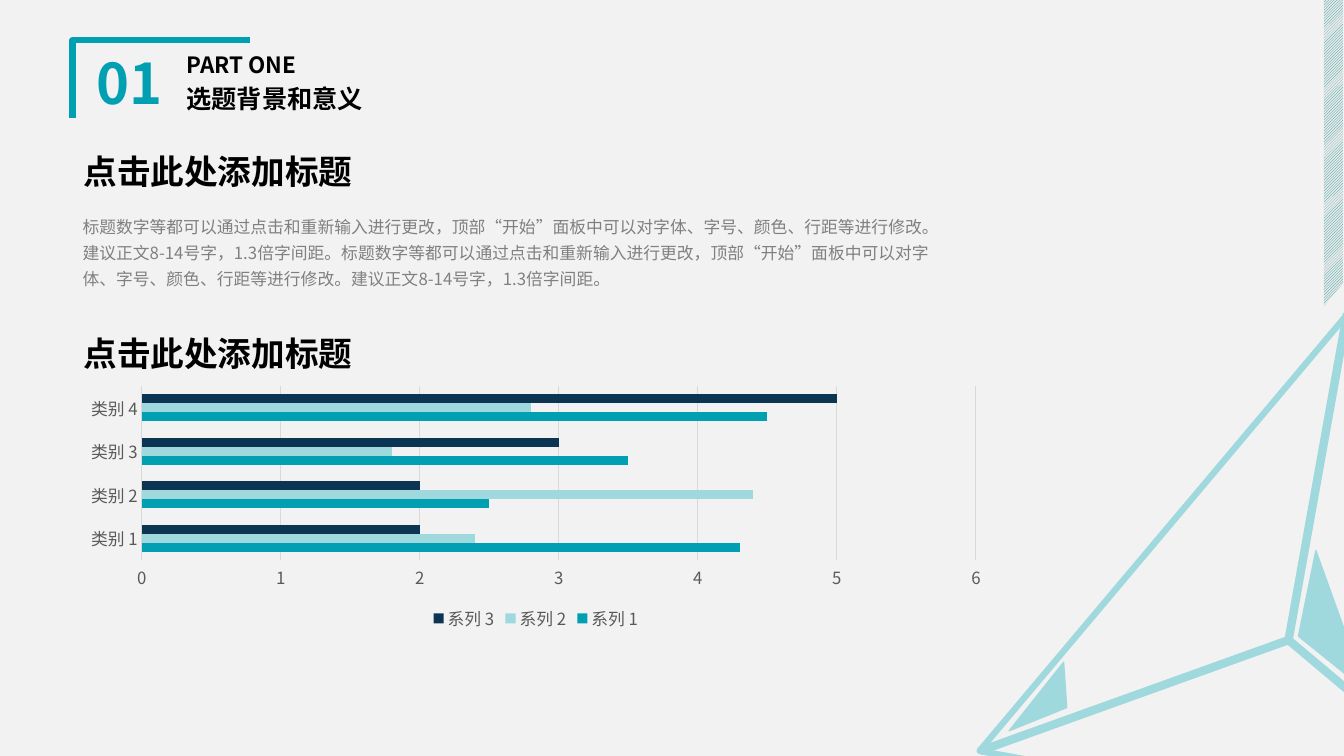
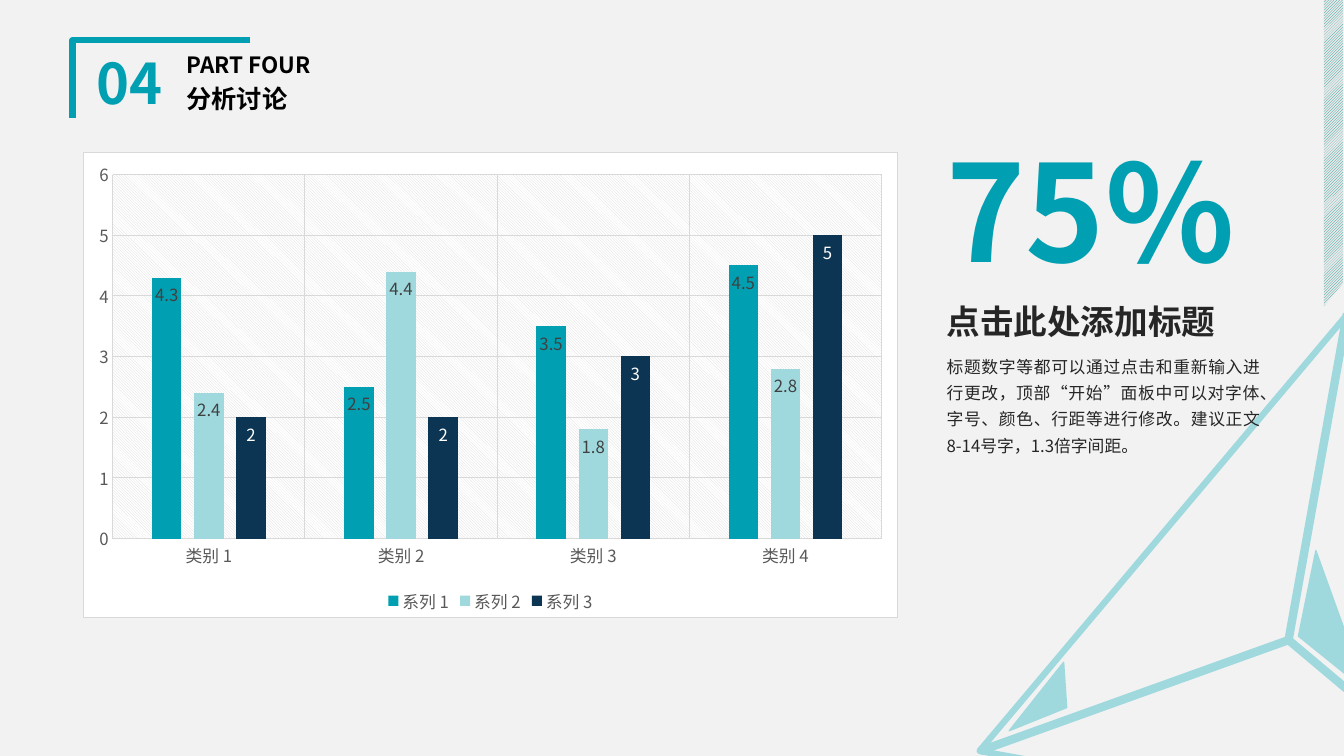
from dataclasses import dataclass

from lxml.etree import SubElement
from pptx import Presentation
from pptx.chart.data import CategoryChartData
from pptx.dml.color import RGBColor
from pptx.enum.chart import XL_CHART_TYPE, XL_LABEL_POSITION, XL_LEGEND_POSITION, XL_TICK_MARK
from pptx.enum.dml import MSO_PATTERN
from pptx.enum.shapes import MSO_CONNECTOR, MSO_SHAPE
from pptx.enum.text import MSO_ANCHOR, MSO_AUTO_SIZE, PP_ALIGN
from pptx.oxml import parse_xml
from pptx.oxml.ns import nsdecls, qn
from pptx.util import Inches, Pt

FONT = "Noto Sans CJK SC"
TEAL = RGBColor(0x00, 0x9F, 0xB1)
PALE_TEAL = RGBColor(0x9F, 0xD9, 0xDE)
NAVY = RGBColor(0x0C, 0x35, 0x53)
HATCH_GREEN = RGBColor(0x1A, 0x98, 0x95)
HATCH_GRAY = RGBColor(0xE9, 0xE9, 0xE9)
BACKGROUND = RGBColor(0xF2, 0xF2, 0xF2)
GRID_GRAY = RGBColor(0xD9, 0xD9, 0xD9)
AXIS_GRAY = RGBColor(0x59, 0x59, 0x59)
LABEL_GRAY = RGBColor(0x40, 0x40, 0x40)
BODY_GRAY = RGBColor(0x80, 0x80, 0x80)
DARK = RGBColor(0x26, 0x26, 0x26)
BLACK = RGBColor(0, 0, 0)
WHITE = RGBColor(0xFF, 0xFF, 0xFF)

LEFT, CENTER, JUSTIFY = PP_ALIGN.LEFT, PP_ALIGN.CENTER, PP_ALIGN.JUSTIFY
MIDDLE = MSO_ANCHOR.MIDDLE
NO_AUTOFIT, GROW = MSO_AUTO_SIZE.NONE, MSO_AUTO_SIZE.SHAPE_TO_FIT_TEXT
RECTANGLE, TRIANGLE = MSO_SHAPE.RECTANGLE, MSO_SHAPE.ISOSCELES_TRIANGLE
STRAIGHT = MSO_CONNECTOR.STRAIGHT
UPWARD_HATCH = MSO_PATTERN.LIGHT_UPWARD_DIAGONAL
BAR, COLUMN = XL_CHART_TYPE.BAR_CLUSTERED, XL_CHART_TYPE.COLUMN_CLUSTERED
NO_TICK = XL_TICK_MARK.NONE
LEGEND_BOTTOM = XL_LEGEND_POSITION.BOTTOM
INSIDE_END = XL_LABEL_POSITION.INSIDE_END

HEADING = "点击此处添加标题"
ADVICE = (
    "标题数字等都可以通过点击和重新输入进行更改，顶部“开始”面板中可以对字体、字号、"
    "颜色、行距等进行修改。建议正文8-14号字，1.3倍字间距。"
)


@dataclass(frozen=True)
class Box:
    left: float
    top: float
    width: float
    height: float

    def lengths(self):
        return [Inches(value) for value in (self.left, self.top, self.width, self.height)]


@dataclass(frozen=True)
class Triangle:
    box: Box
    fill: RGBColor
    line_width: float


@dataclass(frozen=True)
class Series:
    name: str
    values: tuple
    color: RGBColor
    label_color: RGBColor


@dataclass(frozen=True)
class HeaderStyle:
    index: int
    box: Box
    size: int
    color: RGBColor
    alignment: PP_ALIGN


HEADER_STYLES = (
    HeaderStyle(1, Box(0.82, 0.49, 0.93, 0.73), 40, TEAL, CENTER),
    HeaderStyle(3, Box(1.75, 0.49, 2.67, 0.34), 16, BLACK, LEFT),
    HeaderStyle(0, Box(1.75, 0.78, 2.67, 0.44), 18, BLACK, LEFT),
)
UNUSED_PLACEHOLDERS = (2, 4)
TRIANGLE_ROTATION = 250.2
COVER = Triangle(Box(8.65, 3.86, 6.53, 5.63), BACKGROUND, 0)
FRAME = Triangle(Box(9.18, 4.17, 5.68, 4.9), BACKGROUND, 4.5)
INNER_FACE = Triangle(Box(12.35, 6.01, 1.48, 0.45), PALE_TEAL, 1)
HUB = (12.78, 6.35)
CORNERS = ((9.72, 7.45), (15.29, 8.46), (13.36, 3.11))
BRACKET = ((0.72, 1.17), (0.72, 0.4), (2.48, 0.4))
CORNER_FACE = ((10.58, 7.02), (10.55, 6.57), (10.01, 7.25))

CATEGORIES = [f"类别 {number}" for number in range(1, 5)]
SERIES = (
    Series("系列 1", (4.3, 2.5, 3.5, 4.5), TEAL, LABEL_GRAY),
    Series("系列 2", (2.4, 4.4, 1.8, 2.8), PALE_TEAL, LABEL_GRAY),
    Series("系列 3", (2, 2, 3, 5), NAVY, WHITE),
)
NO_FILL = "<a:noFill/>"
CARD_FILL = f'<a:solidFill><a:srgbClr val="{WHITE}"/></a:solidFill>'
CARD_BORDER = f'<a:solidFill><a:srgbClr val="{GRID_GRAY}"/></a:solidFill>'
PLOT_HATCH = (
    f'<a:pattFill prst="ltDnDiag"><a:fgClr><a:srgbClr val="{GRID_GRAY}"/></a:fgClr>'
    f'<a:bgClr><a:srgbClr val="{WHITE}"/></a:bgClr></a:pattFill>'
)


def style_font(font, size: float, color: RGBColor, bold: bool = False) -> None:
    font.size = Pt(size)
    font.bold = bold
    font.color.rgb = color
    font.name = FONT
    latin = font._rPr.find(qn("a:latin"))
    latin.addnext(parse_xml(f'<a:ea {nsdecls("a")} typeface="{FONT}"/>'))


def write_text(shape, text: str, *, size: float, color: RGBColor, bold: bool = False,
               alignment=LEFT, spacing: float = 1.0, before: float = 0,
               anchor=None, auto_size=GROW, wrap: bool = True) -> None:
    frame = shape.text_frame
    frame.word_wrap = wrap
    frame.auto_size = auto_size
    if anchor is not None:
        frame.vertical_anchor = anchor
    paragraph = frame.paragraphs[0]
    paragraph.alignment = alignment
    paragraph.line_spacing = spacing
    paragraph.space_before = Pt(before)
    run = paragraph.add_run()
    run.text = text
    style_font(run.font, size, color, bold)


def add_text(slide, box: Box, text: str, **text_format) -> None:
    write_text(slide.shapes.add_textbox(*box.lengths()), text, **text_format)


def set_line(line, color: RGBColor, width: float) -> None:
    if width:
        line.color.rgb = color
        line.width = Pt(width)
    else:
        line.fill.background()


def add_triangle(slide, triangle: Triangle) -> None:
    shape = slide.shapes.add_shape(TRIANGLE, *triangle.box.lengths())
    shape.shadow.inherit = False
    shape.rotation = TRIANGLE_ROTATION
    shape.fill.solid()
    shape.fill.fore_color.rgb = triangle.fill
    set_line(shape.line, PALE_TEAL, triangle.line_width)


def add_outline(slide, points: tuple, color: RGBColor, width: float, closed: bool) -> None:
    start, *others = [(Inches(x), Inches(y)) for x, y in points]
    builder = slide.shapes.build_freeform(*start)
    builder.add_line_segments(others, close=closed)
    shape = builder.convert_to_shape()
    shape.shadow.inherit = False
    if closed:
        shape.fill.solid()
        shape.fill.fore_color.rgb = color
    else:
        shape.fill.background()
    set_line(shape.line, color, width)


def add_spoke(slide, corner: tuple) -> None:
    ends = [Inches(value) for value in (*corner, *HUB)]
    connector = slide.shapes.add_connector(STRAIGHT, *ends)
    set_line(connector.line, PALE_TEAL, 6)
    SubElement(connector._element.spPr, qn("a:effectLst"))


def decorate_layout(layout, slide) -> None:
    layout.background.fill.solid()
    layout.background.fill.fore_color.rgb = BACKGROUND
    band = slide.shapes.add_shape(RECTANGLE, *Box(9.46, 3.64, 7.53, 0.19).lengths())
    band.shadow.inherit = False
    band.rotation = 270
    band.fill.patterned()
    band.fill.pattern = UPWARD_HATCH
    band.fill.fore_color.rgb = HATCH_GREEN
    band.fill.back_color.rgb = HATCH_GRAY
    band.line.fill.background()
    add_outline(slide, BRACKET, TEAL, 4.5, closed=False)
    add_triangle(slide, COVER)
    add_triangle(slide, FRAME)
    for corner in CORNERS:
        add_spoke(slide, corner)
    add_triangle(slide, INNER_FACE)
    add_outline(slide, CORNER_FACE, PALE_TEAL, 1, closed=True)
    decorations = [shape for shape in slide.shapes if not shape.is_placeholder]
    for number, shape in enumerate(decorations, start=101):
        shape._element.xpath(".//p:cNvPr")[0].set("id", str(number))
        layout.shapes._spTree.append(shape._element)


def fill_header(slide, number: str, part: str, title: str) -> None:
    placeholders = {shape.placeholder_format.idx: shape for shape in slide.placeholders}
    for index in UNUSED_PLACEHOLDERS:
        element = placeholders[index]._element
        element.getparent().remove(element)
    for style, text in zip(HEADER_STYLES, (number, part, title)):
        shape = placeholders[style.index]
        shape.left, shape.top, shape.width, shape.height = style.box.lengths()
        write_text(shape, text, size=style.size, color=style.color, bold=True,
                   alignment=style.alignment, spacing=0.9, before=10,
                   anchor=MIDDLE, auto_size=NO_AUTOFIT)


def chart_area(fill: str, border: str):
    return parse_xml(
        f'<c:spPr {nsdecls("c", "a")}>{fill}<a:ln w="9525">{border}</a:ln></c:spPr>'
    )


def add_series_chart(slide, chart_type, box: Box, *, gap: int, overlap: int = 0,
                     card: bool = False):
    data = CategoryChartData()
    data.categories = CATEGORIES
    for series in SERIES:
        data.add_series(series.name, series.values)
    chart = slide.shapes.add_chart(chart_type, *box.lengths(), data).chart
    style_font(chart.font, 12, AXIS_GRAY)
    chart.has_title = False
    chart.has_legend = True
    chart.legend.position = LEGEND_BOTTOM
    chart.legend.include_in_layout = False
    style_font(chart.legend.font, 12, AXIS_GRAY)

    category_axis, value_axis = chart.category_axis, chart.value_axis
    category_axis.has_major_gridlines = card
    value_axis.has_major_gridlines = True
    for axis in (category_axis, value_axis):
        axis.major_tick_mark = axis.minor_tick_mark = NO_TICK
        style_font(axis.tick_labels.font, 12, AXIS_GRAY)
        if axis.has_major_gridlines:
            set_line(axis.major_gridlines.format.line, GRID_GRAY, 0.75)
    set_line(category_axis.format.line, GRID_GRAY, 0.75)
    set_line(value_axis.format.line, GRID_GRAY, 0)
    value_axis.minimum_scale, value_axis.maximum_scale = 0, 6
    value_axis.major_unit = 1

    plot = chart.plots[0]
    plot.vary_by_categories = False
    plot.gap_width, plot.overlap = gap, overlap
    for series, style in zip(plot.series, SERIES):
        series.format.fill.solid()
        series.format.fill.fore_color.rgb = style.color
        if card:
            labels = series.data_labels
            labels.show_value = True
            labels.position = INSIDE_END
            style_font(labels.font, 12, style.label_color)

    chart_element = chart._chartSpace.find(qn("c:chart"))
    chart_element.addnext(chart_area(CARD_FILL, CARD_BORDER) if card
                          else chart_area(NO_FILL, NO_FILL))
    chart_element.find(qn("c:plotArea")).append(
        chart_area(PLOT_HATCH if card else NO_FILL, NO_FILL))


def build_background_slide(slide) -> None:
    fill_header(slide, "01", "PART ONE", "选题背景和意义")
    for top in (1.45, 3.25):
        add_text(slide, Box(0.73, top, 2.89, 0.5), HEADING, size=24, color=BLACK,
                 bold=True, wrap=False)
    add_text(slide, Box(0.72, 2.04, 8.65, 0.89), ADVICE * 2, size=12, color=BODY_GRAY,
             spacing=1.3)
    add_series_chart(slide, BAR, Box(0.72, 3.78, 9.19, 2.52), gap=182)


def build_discussion_slide(slide) -> None:
    fill_header(slide, "04", "PART FOUR", "分析讨论")
    add_text(slide, Box(9.29, 1.22, 3.12, 1.72), "75%", size=96, color=TEAL, bold=True,
             wrap=False)
    add_text(slide, Box(9.29, 2.94, 3.16, 0.5), HEADING, size=24, color=DARK, bold=True)
    add_text(slide, Box(9.29, 3.43, 3.31, 1.15), ADVICE, size=12, color=DARK,
             alignment=JUSTIFY, spacing=1.3)
    add_series_chart(slide, COLUMN, Box(0.82, 1.51, 8.09, 4.62), gap=267, overlap=-43,
                     card=True)


def main() -> None:
    presentation = Presentation()
    presentation.slide_width = Inches(13.33)
    presentation.slide_height = Inches(7.5)
    layout = presentation.slide_layouts.get_by_name("Comparison")
    first_slide, second_slide = [presentation.slides.add_slide(layout) for _ in range(2)]
    decorate_layout(layout, first_slide)
    build_background_slide(first_slide)
    build_discussion_slide(second_slide)
    presentation.save("out.pptx")


if __name__ == "__main__":
    main()
